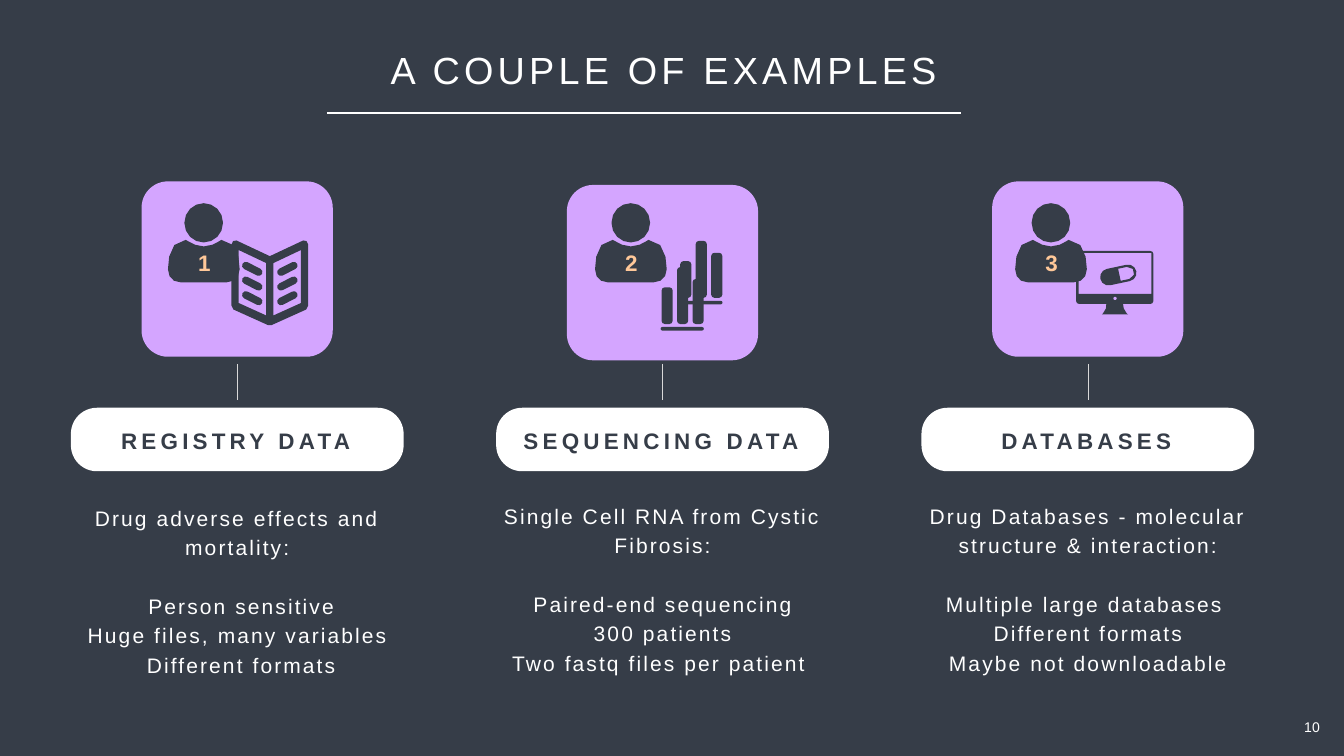
import math

from pptx import Presentation
from pptx import util as u
from pptx.dml.color import RGBColor
from pptx.enum import shapes, text
from pptx.oxml.ns import qn
from lxml import etree

HUES = {"dark": "363D48", "white": "FFFFFF", "lilac": "D4A5FF",
        "peach": "FFC899", "grey": "D9D9D9"}
LOOKS = {
    "title": {"size": 54, "hue": "white", "gap": 6},
    "label": {"size": 32, "hue": "dark", "bold": True, "gap": 6},
    "count": {"size": 32, "hue": "peach", "bold": True, "gap": 6},
    "body": {"size": 30, "hue": "white", "gap": 3, "lead": 42},
    "page": {"size": 20, "hue": "white"},
}
MID, STEP = 11.95, 21.42  # centre of the first column, column distance

# label, label width, lines, card top, body top, body size, person left
COLUMNS = [
    ("REGISTRY DATA", 12.04,
     ["Drug adverse effects and mortality:", " Person sensitive",
      "Huge files, many variables", " Different formats"],
     9.14, 25.12, (15.54, 9.14), 8.46),
    ("SEQUENCING DATA", 14.33,
     ["Single Cell RNA from Cystic Fibrosis:", "Paired-end sequencing",
      "300 patients", "Two fastq files per patient "],
     9.32, 25.02, (16.8, 10.59), 29.97),
    ("DATABASES", 9.04,
     ["Drug Databases - molecular structure & interaction:",
      "Multiple large databases ", "Different formats",
      "Maybe not downloadable"],
     9.14, 25.02, (16.8, 10.59), 51.13),
]


def rgb(hue):
    return RGBColor.from_string(HUES[hue])


def put(item, vals):
    for name, val in vals.items():
        setattr(item, name, val)


def place(item, x, y, w, h):
    put(item, {"left": u.Cm(x), "top": u.Cm(y),
               "width": u.Cm(w), "height": u.Cm(h)})


def write(box, lines, look, wrap=False, inset=0.13):
    """Fill a box with centred lines; the first stands apart from the rest."""
    form = LOOKS[look]
    frame = box.text_frame
    sides = ("left", "right", "top", "bottom")
    put(frame, {f"margin_{side}": u.Cm(inset) for side in sides})
    put(frame, {"word_wrap": wrap, "vertical_anchor": text.MSO_ANCHOR.TOP,
                "auto_size": text.MSO_AUTO_SIZE.SHAPE_TO_FIT_TEXT})
    for i, line in enumerate(lines):
        para = frame.paragraphs[0] if i == 0 else frame.add_paragraph()
        para.alignment = text.PP_ALIGN.CENTER
        if "lead" in form:
            para.line_spacing = u.Pt(form["lead"])
            para.space_before = u.Pt(form["lead"] if i == 1 else 0)
        run = para.add_run()
        run.text = line
        put(run.font, {"name": "Arial", "size": u.Pt(form["size"]),
                       "bold": form.get("bold", False)})
        run.font.color.rgb = rgb(form["hue"])
        if "gap" in form:
            run.font._element.set("spc", str(form["gap"] * 100))


def note(slide, x, y, w, h, lines, look, **more):
    box = slide.shapes.add_textbox(u.Cm(x), u.Cm(y), u.Cm(w), u.Cm(h))
    write(box, lines, look, **more)


def paint(shape, hue):
    shape.shadow.inherit = False
    shape.fill.solid()
    shape.fill.fore_color.rgb = rgb(hue)
    shape.line.fill.background()


def card(slide, x, y, w, h, bend, hue):
    kind = shapes.MSO_SHAPE.ROUNDED_RECTANGLE
    shape = slide.shapes.add_shape(kind, u.Cm(x), u.Cm(y), u.Cm(w), u.Cm(h))
    shape.adjustments[0] = bend
    paint(shape, hue)


def rule(slide, x1, y1, x2, y2, hue, width):
    line = slide.shapes.add_connector(
        shapes.MSO_CONNECTOR.STRAIGHT, *map(u.Cm, (x1, y1, x2, y2)))
    line.line.color.rgb = rgb(hue)
    line.line.width = u.Pt(width)
    etree.SubElement(line._element.spPr, qn("a:effectLst"))


def curve(*knots):
    """Points along a cubic curve, without its start."""
    pts = []
    for i in range(1, 4):
        t = i / 3
        parts = ((1 - t) ** 3, 3 * t * (1 - t) ** 2, 3 * t * t * (1 - t), t ** 3)
        pts.append(tuple(sum(p * k[a] for p, k in zip(parts, knots))
                         for a in (0, 1)))
    return pts


def block(x, y, w, h, r, turn=0, steps=2):
    """Outline of a box with round corners, turned about its centre."""
    mx, my = x + w / 2, y + h / 2
    cos, sin = math.cos(math.radians(turn)), math.sin(math.radians(turn))
    pts = []
    for q, (sx, sy) in enumerate([(1, 1), (-1, 1), (-1, -1), (1, -1)]):
        for i in range(steps + 1):
            arc = math.pi / 2 * (q + i / steps)
            dx = sx * (w / 2 - r) + r * math.cos(arc)
            dy = sy * (h / 2 - r) + r * math.sin(arc)
            spot = (round(mx + dx * cos - dy * sin, 3),
                    round(my + dx * sin + dy * cos, 3))
            if spot not in pts:
                pts.append(spot)
    return pts


def icon(slide, x, y, loops):
    """Draw loops as one outline; an inner loop makes a hole."""
    pens = [[(u.Cm(a), u.Cm(b)) for a, b in loop] for loop in loops]
    form = slide.shapes.build_freeform(*pens[0][0])
    for i, pen in enumerate(pens):
        if i:
            form.move_to(*pen[0])
        form.add_line_segments(pen[1:], close=True)
    shape = form.convert_to_shape(u.Cm(x), u.Cm(y))
    paint(shape, "dark")
    return shape


def person(slide, x, y):
    trunk = [(2.95, 3.99), (0.64, 3.99)]
    for bend in [((0.25, 3.99), (0, 3.73), (0, 3.33)),
                 ((0, 2.77), (0.13, 1.85), (0.89, 1.85)),
                 ((0.97, 1.85), (1.3, 2.18), (1.8, 2.18)),
                 ((2.31, 2.18), (2.64, 1.85), (2.69, 1.85)),
                 ((3.48, 1.85), (3.61, 2.77), (3.61, 3.33)),
                 ((3.61, 3.73), (3.35, 3.99), (2.95, 3.99))]:
        trunk += curve(trunk[-1], *bend)
    icon(slide, x, y, [trunk, block(0.83, 0, 1.94, 1.98, 0.97, steps=4)])


def book(slide, x, y):
    wide = 3.86

    def flip(pts):
        return [(wide - a, b) for a, b in pts]

    half = [(1.93, 0.79), (0.25, 0), (0.08, 0.03), (0, 0.2), (0, 3.28),
            (0.1, 3.48), (1.85, 4.27)]
    page = [(0.36, 0.48), (1.75, 1.14), (1.75, 3.78), (0.36, 3.15)]
    rows = [block(0.49, 1.24 + 0.74 * i, 1.11, 0.38, 0.19, 27)
            for i in range(3)]
    left = [page] + rows
    icon(slide, x, y, [half + flip(half[:0:-1])] + left + [flip(p) for p in left])


def bars(slide, x, y):
    loops = [block(0.05 + 0.78 * i, top, 0.56, 2.87 - top, 0.16)
             for i, top in enumerate([1.02, 0, 0.6])]
    icon(slide, x, y, loops + [block(0, 3.02, 2.18, 0.18, 0.09)])


def screen(slide, x, y):
    stand = [(1.52, 2.67), (1.5, 2.9), (1.35, 3.15), (1.3, 3.2),
             (2.62, 3.2), (2.55, 3.15), (2.4, 2.9), (2.36, 2.67)]
    glass = [(0.13, 0.1), (3.79, 0.1), (3.79, 2.16), (0.13, 2.16)]
    icon(slide, x, y, [block(0, 0, 3.89, 2.67, 0.15), glass,
                       block(1.87, 2.3, 0.18, 0.18, 0.09), stand])


def pill(slide, x, y):
    clear = [(0.98, 0.11), (1.43, 0.11)]
    clear += curve(clear[-1], (1.84, 0.11), (1.84, 0.73), (1.43, 0.73))
    clear.append((0.98, 0.73))
    case = block(0, 0, 1.85, 0.84, 0.42, steps=3)
    icon(slide, x, y, [case, clear]).rotation = -12


def column(slide, mid, label, span, lines, top, low, size, left):
    card(slide, mid - 4.82, top, 9.63, 8.84, 0.15, "lilac")
    rule(slide, mid, 18.34, mid, 20.14, "grey", 0.5)
    card(slide, mid - 8.38, 20.55, 16.76, 3.2, 0.41, "white")
    note(slide, mid - span / 2 - 0.08, 21.41, span, 1.6, [label], "label")
    note(slide, mid - size[0] / 2, low, *size, lines, "body", wrap=True)
    person(slide, left, 10.24)


def main():
    deck = Presentation()
    put(deck, {"slide_width": u.Cm(67.69), "slide_height": u.Cm(38.1)})
    slide = deck.slides.add_slide(deck.slide_layouts[5])
    slide.background.fill.solid()
    slide.background.fill.fore_color.rgb = rgb("dark")

    place(slide.shapes.title, 19.43, 2.24, 28.02, 2.54)
    write(slide.shapes.title, ["A COUPLE OF EXAMPLES"], "title")
    rule(slide, 16.46, 5.7, 48.41, 5.7, "white", 3)

    for i, parts in enumerate(COLUMNS):
        column(slide, MID + STEP * i, *parts)
        note(slide, parts[-1] + 1.27, 12.42, 1.12, 1.6, [str(i + 1)], "count")

    book(slide, 11.66, 12.12)
    bars(slide, 34.21, 12.14)
    bars(slide, 33.27, 13.46)
    screen(slide, 54.2, 12.65)
    pill(slide, 55.4, 13.44)
    note(slide, 65.43, 35.97, 1.3, 1.37, ["10"], "page", inset=0.25)
    deck.save("out.pptx")


if __name__ == "__main__":
    main()
